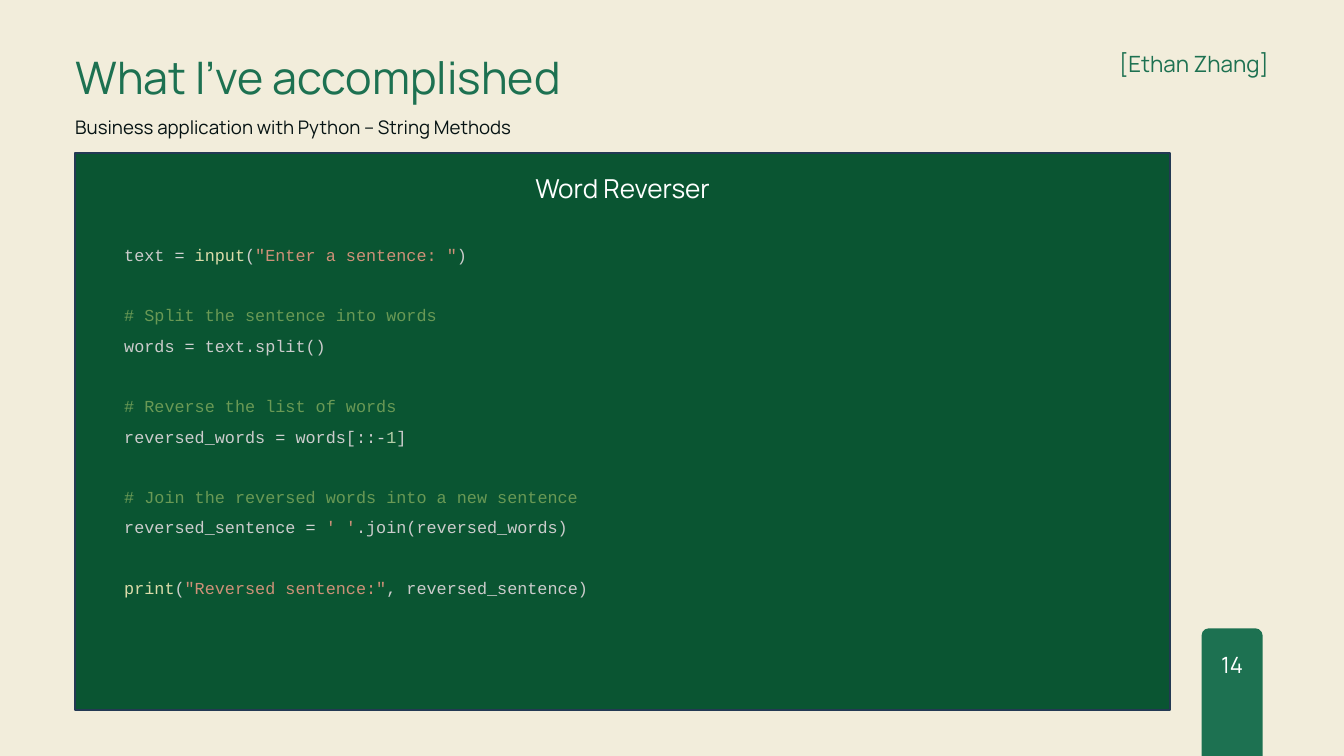
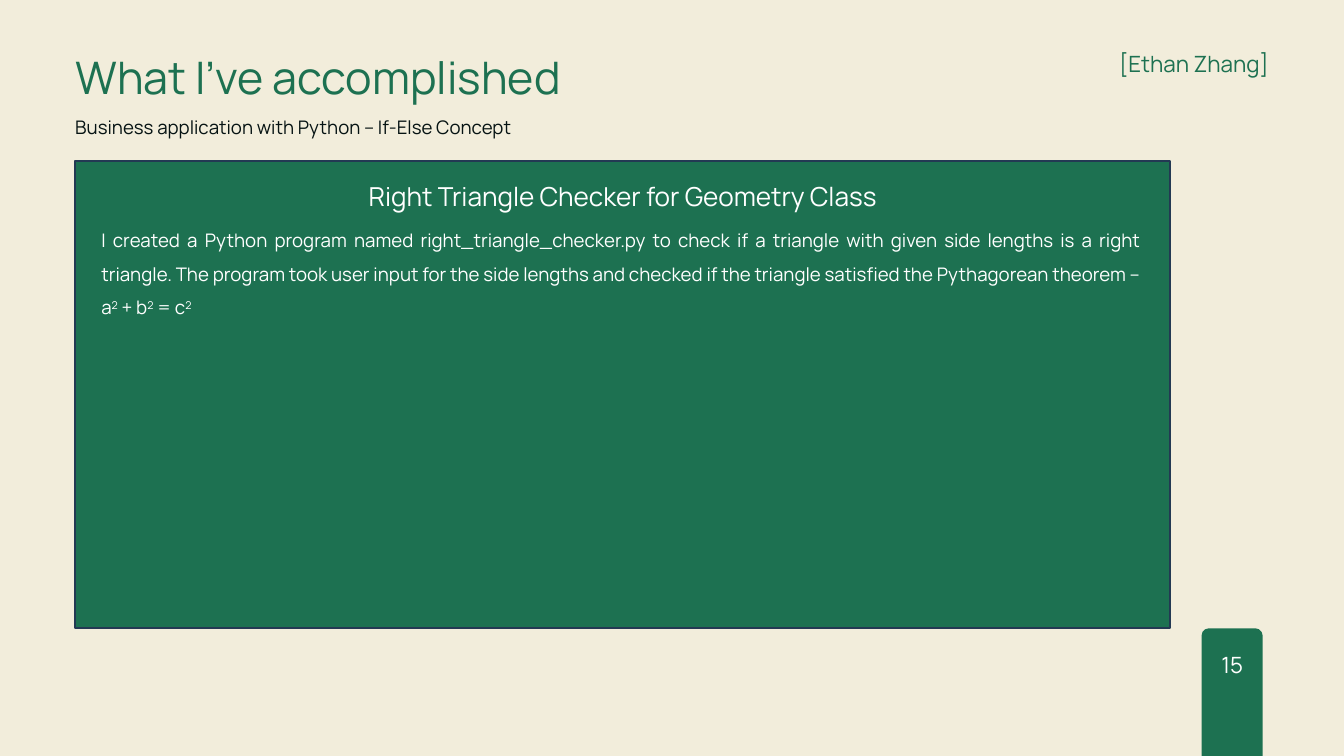
from dataclasses import dataclass
from pptx import Presentation
from pptx.dml.color import RGBColor
from pptx.enum.shapes import MSO_SHAPE
from pptx.enum.text import MSO_ANCHOR, MSO_AUTO_SIZE, PP_ALIGN
from pptx.util import Inches, Pt


@dataclass(frozen=True)
class Theme:
    # Colours
    cream: str = "F2EDDB"
    green: str = "1D7151"
    forest: str = "0A5532"
    navy: str = "233953"
    ink: str = "061313"
    white: str = "FFFFFF"
    # Code colours
    plain: str = "CCCCCC"
    sign: str = "D4D4D4"
    call: str = "DCDCAA"
    quote: str = "CE9178"
    note: str = "6A9955"
    digit: str = "B5CEA8"
    # Fonts and sizes
    sans: str = "Manrope"
    mono: str = "Courier New"
    title: int = 48
    head: int = 28
    label: int = 24
    body: int = 20
    code: int = 18
    # Line spacing
    loose: float = 1.5
    gap: float = 32.5


T = Theme()
LEFT, WIDE = 1.12, 16.29

# Each code line is a list of (text, colour) runs; True opens a new block
CODE = [
    (False, [("text ", T.plain), ("= ", T.sign), ("input", T.call), ("(", T.plain),
             ('"Enter a sentence: "', T.quote), (")", T.plain)]),
    (True, [("# Split the sentence into words", T.note)]),
    (False, [("words ", T.plain), ("= ", T.sign), ("text.split()", T.plain)]),
    (True, [("# Reverse the list of words", T.note)]),
    (False, [("reversed_words ", T.plain), ("=", T.sign), (" words[::", T.plain),
             ("-", T.sign), ("1", T.digit), ("]", T.plain)]),
    (True, [("# Join the reversed words into a new sentence", T.note)]),
    (False, [("reversed_sentence ", T.plain), ("= ", T.sign), ("' '", T.quote),
             (".join(reversed_words)", T.plain)]),
    (True, [("print", T.call), ("(", T.plain), ('"Reversed sentence:"', T.quote),
            (", reversed_sentence)", T.plain)]),
]

ABOUT = (
    "I created a Python program named right_triangle_checker.py to check if a "
    "triangle with given side lengths is a right triangle. The program took user "
    "input for the side lengths and checked if the triangle satisfied the "
    "Pythagorean theorem – a"
)


class Deck:
    def __init__(self):
        self.prs = Presentation()
        self.prs.slide_width = Inches(20)
        self.prs.slide_height = Inches(11.25)
        self.slide = None

    # Text helpers
    def run(self, para, text, size, color, font=T.sans, power=False):
        run = para.add_run()
        run.text = text
        run.font.name = font
        run.font.size = Pt(size)
        run.font.color.rgb = RGBColor.from_string(color)
        if power:
            run._r.get_or_add_rPr().set("baseline", "30000")

    def frame(self, shape, pad=None):
        frame = shape.text_frame
        frame.word_wrap = True
        frame.auto_size = MSO_AUTO_SIZE.NONE
        frame.vertical_anchor = MSO_ANCHOR.TOP
        if pad is not None:
            frame.margin_left = frame.margin_right = Inches(pad)
            frame.margin_top = frame.margin_bottom = Inches(pad)
        return frame

    def para(self, frame, space, align=PP_ALIGN.LEFT, first=True):
        para = frame.paragraphs[0] if first else frame.add_paragraph()
        para.alignment = align
        para.line_spacing = space
        return para

    def box(self, x, y, w, h, pad=None):
        shape = self.slide.shapes.add_textbox(*map(Inches, (x, y, w, h)))
        return self.frame(shape, pad)

    def label(self, text, x, y, w, h, size, color, align=PP_ALIGN.LEFT):
        para = self.para(self.box(x, y, w, h, 0), Pt(size * 1.4), align)
        self.run(para, text, size, color)

    # Filled shapes
    def block(self, kind, x, y, w, h, fill):
        shape = self.slide.shapes.add_shape(kind, *map(Inches, (x, y, w, h)))
        shape.shadow.inherit = False
        shape.fill.solid()
        shape.fill.fore_color.rgb = RGBColor.from_string(fill)
        shape.line.fill.background()
        return shape

    def panel(self, head, y, h, fill):
        shape = self.block(MSO_SHAPE.RECTANGLE, LEFT, y, WIDE, h, fill)
        shape.line.color.rgb = RGBColor.from_string(T.navy)
        shape.line.width = Pt(2)
        para = self.para(self.frame(shape), T.loose, PP_ALIGN.CENTER)
        self.run(para, head, T.head, T.white)

    # Parts found on every slide
    def title(self, text):
        shape = self.slide.shapes.title
        shape.left, shape.top = Inches(LEFT), Inches(0.76)
        shape.width, shape.height = Inches(WIDE), Inches(0.79)
        para = self.para(self.frame(shape, 0), Pt(56))
        self.run(para, text, T.title, T.green)

    def page(self, number, topic):
        self.slide = self.prs.slides.add_slide(self.prs.slide_layouts[5])
        back = self.slide.background.fill
        back.solid()
        back.fore_color.rgb = RGBColor.from_string(T.cream)
        self.title("What I’ve accomplished")
        tab = self.block(MSO_SHAPE.ROUNDED_RECTANGLE, 17.88, 9.35, 0.91, 2, T.green)
        tab.adjustments[0] = 0.12
        self.label(f"Business application with Python – {topic}",
                   LEFT, 1.67, 10.54, 0.49, T.body, T.ink)
        self.label("[Ethan Zhang]", 14.99, 0.68, 3.89, 0.46,
                   T.label, T.green, PP_ALIGN.RIGHT)
        self.label(str(number), 18, 9.62, 0.67, 0.46,
                   T.label, T.white, PP_ALIGN.CENTER)

    # Panel contents
    def code(self, lines, x, y, w, h):
        frame = self.box(x, y, w, h)
        for row, (fresh, runs) in enumerate(lines):
            para = self.para(frame, T.loose, first=row == 0)
            para.space_before = Pt(T.gap if fresh else 0)
            for text, color in runs:
                self.run(para, text, T.code, color, T.mono)

    def prose(self, runs, x, y, w, h):
        para = self.para(self.box(x, y, w, h), T.loose, PP_ALIGN.JUSTIFY)
        for text, power in runs:
            self.run(para, text, T.body, T.white, power=power)


def main():
    deck = Deck()

    # String methods
    deck.page(14, "String Methods")
    deck.panel("Word Reverser", 2.28, 8.29, T.forest)
    deck.code(CODE, 1.75, 3.44, 10.1, 5.51)

    # If-else concept
    deck.page(15, "If-Else Concept")
    deck.panel("Right Triangle Checker for Geometry Class", 2.4, 6.94, T.green)
    terms = [(ABOUT, False), ("2", True), (" + b", False), ("2", True),
             (" = c", False), ("2", True)]
    deck.prose(terms, 1.41, 3.19, 15.67, 1.57)

    deck.prs.save("out.pptx")


if __name__ == "__main__":
    main()
